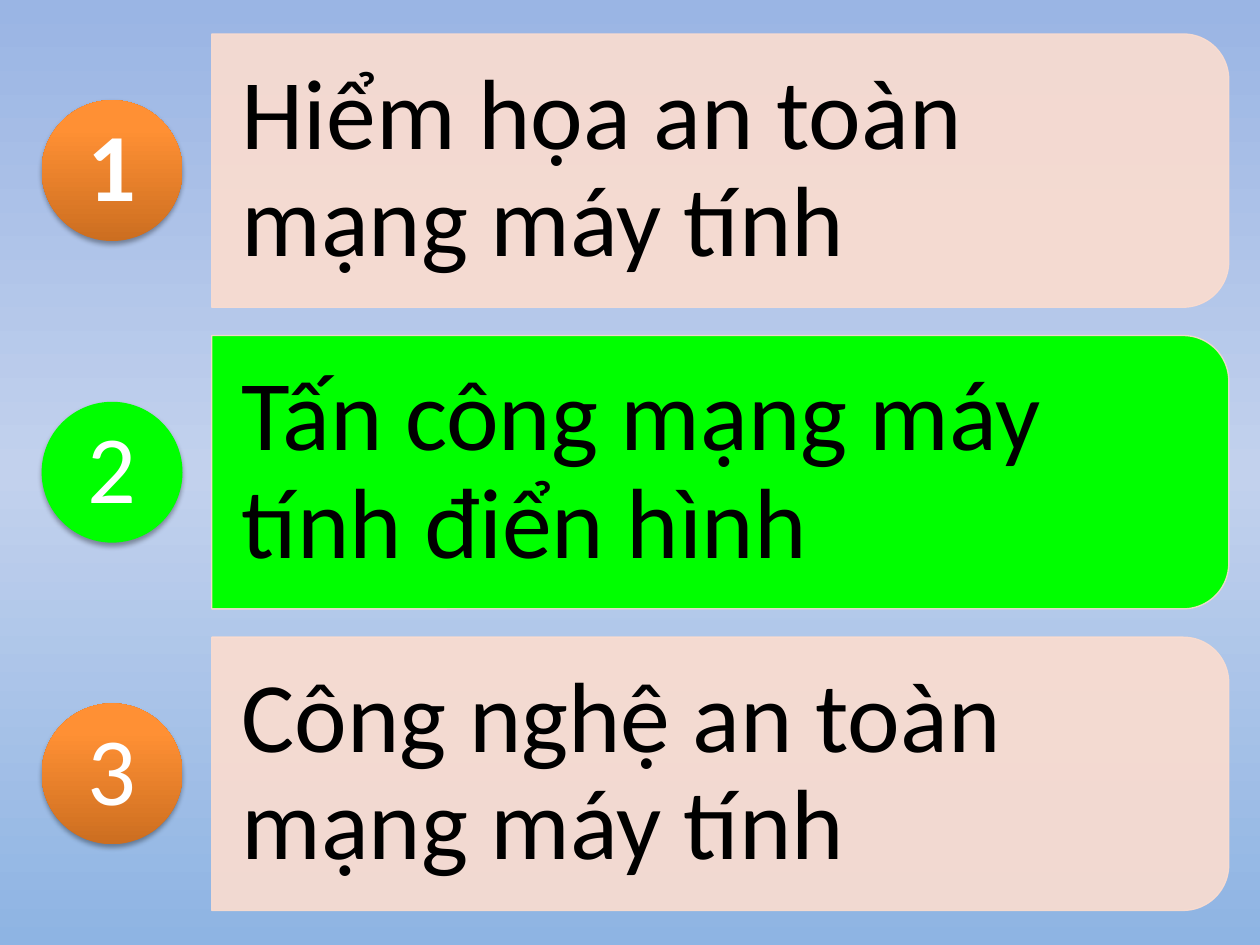
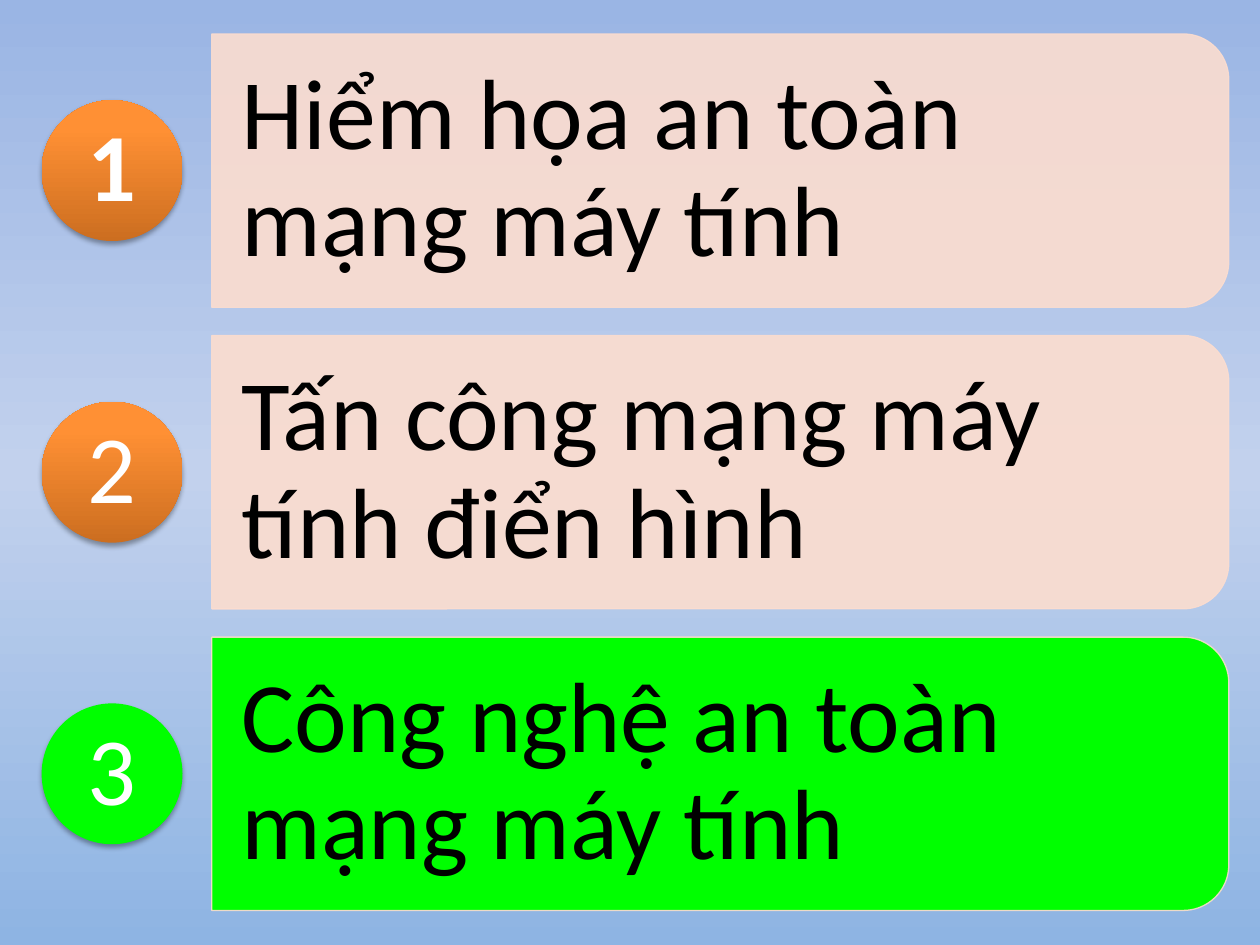
from lxml import etree
from pptx import Presentation
from pptx.dml.color import RGBColor
from pptx.enum.shapes import MSO_SHAPE
from pptx.enum.text import MSO_ANCHOR, PP_ALIGN
from pptx.oxml.ns import qn
from pptx.util import Cm, Pt

BAR = MSO_SHAPE.ROUND_2_SAME_RECTANGLE
OVAL = MSO_SHAPE.OVAL
MIDDLE = MSO_ANCHOR.MIDDLE
LEFT, CENTER = PP_ALIGN.LEFT, PP_ALIGN.CENTER

PEACH = RGBColor(0xFC, 0xDD, 0xCF)
GREEN = RGBColor(0x00, 0xFF, 0x00)
BLACK = RGBColor(0x00, 0x00, 0x00)
WHITE = RGBColor(0xFF, 0xFF, 0xFF)
SKY = [(0, RGBColor(0x9A, 0xB5, 0xE4)), (50, RGBColor(0xC2, 0xD1, 0xED)),
       (100, RGBColor(0x8E, 0xB4, 0xE3))]
FLAME = [(0, RGBColor(0xCC, 0x6E, 0x20)), (80, RGBColor(0xFF, 0x90, 0x34)),
         (100, RGBColor(0xFF, 0x91, 0x36))]
FONT = "Calibri"

TOPICS = ["Hiểm họa an toàn mạng máy tính",
          "Tấn công mạng máy tính điển hình",
          "Công nghệ an toàn mạng máy tính"]
ACTIVE = [2, 3]  # highlighted topic on each slide

# Layout in cm: each row is centred on its own line
FIRST, PITCH = 3.44, 6.08
BAR_X, BAR_W, BAR_H = 14.52, 20.5, 5.51
TEXT_X, TEXT_W, TEXT_H = 4.27, 20.22, 4.98
DOT_X, DOT, NUM = 2.26, 2.84, 2.0


def fade(fill, root, stops, angle):
    """Give a fill gradient stops and a clockwise angle."""
    fill.gradient()
    grad = root.find(".//" + qn("a:gradFill"))
    steps = grad.find(qn("a:gsLst"))
    steps.clear()
    for place, color in stops:
        stop = etree.SubElement(steps, qn("a:gs"), pos=str(place * 1000))
        etree.SubElement(stop, qn("a:srgbClr"), val=str(color))
    grad.find(qn("a:lin")).set("ang", str(angle * 60000))


def write(slide, text, box, pad, size, color, align, bold=False):
    """Add a text box with one vertically centred paragraph."""
    frame = slide.shapes.add_textbox(*[Cm(n) for n in box]).text_frame
    frame.word_wrap = True
    frame.vertical_anchor = MIDDLE
    frame.margin_left = frame.margin_right = Cm(pad[0])
    frame.margin_top = frame.margin_bottom = Cm(pad[1])
    para = frame.paragraphs[0]
    para.alignment = align
    para.line_spacing = 0.9
    after = etree.SubElement(para._p.get_or_add_pPr(), qn("a:spcAft"))
    etree.SubElement(after, qn("a:spcPct"), val="35000")
    run = para.add_run()
    run.text = text
    run.font.name = FONT
    run.font.size = Pt(size)
    run.font.bold = bold
    run.font.color.rgb = color


deck = Presentation()
deck.slide_width, deck.slide_height = Cm(25.4), Cm(19.05)

for active in ACTIVE:
    slide = deck.slides.add_slide(deck.slide_layouts[6])
    fade(slide.background.fill, slide._element, SKY, 90)

    for num, topic in enumerate(TOPICS, 1):
        mid = FIRST + (num - 1) * PITCH
        lit = num == active

        # Bar, turned so that its round corners face right
        bar = slide.shapes.add_shape(
            BAR, Cm(BAR_X - BAR_H / 2), Cm(mid - BAR_W / 2),
            Cm(BAR_H), Cm(BAR_W))
        bar.rotation = 90
        bar.shadow.inherit = False
        bar.fill.solid()
        bar.fill.fore_color.rgb = GREEN if lit else PEACH
        bar.line.color.rgb = PEACH
        bar.line.width = Pt(0.75)
        for tint in bar._element.spPr.iter(qn("a:srgbClr")):
            if tint.get("val") == str(PEACH):
                etree.SubElement(tint, qn("a:alpha"), val="90000")

        # Topic
        write(slide, topic, (TEXT_X, mid - TEXT_H / 2, TEXT_W, TEXT_H),
              (0.6, 0.4), 57, BLACK, LEFT)

        # Dot with a soft shadow below
        dot = slide.shapes.add_shape(
            OVAL, Cm(DOT_X - DOT / 2), Cm(mid - DOT / 2), Cm(DOT), Cm(DOT))
        dot.line.fill.background()
        if lit:
            dot.fill.solid()
            dot.fill.fore_color.rgb = GREEN
        else:
            fade(dot.fill, dot._element, FLAME, 270)
        dot.shadow.inherit = False
        glow = etree.SubElement(
            dot._element.spPr.find(qn("a:effectLst")), qn("a:outerShdw"),
            blurRad=str(Pt(3.1)), dist=str(Pt(1.8)), dir="5400000",
            rotWithShape="0")
        shade = etree.SubElement(glow, qn("a:srgbClr"), val=str(BLACK))
        etree.SubElement(shade, qn("a:alpha"), val="35000")

        # Number
        write(slide, str(num), (DOT_X - NUM / 2, mid - NUM / 2, NUM, NUM),
              (0, 0), 55, WHITE, CENTER, num == 1)

deck.save("out.pptx")
